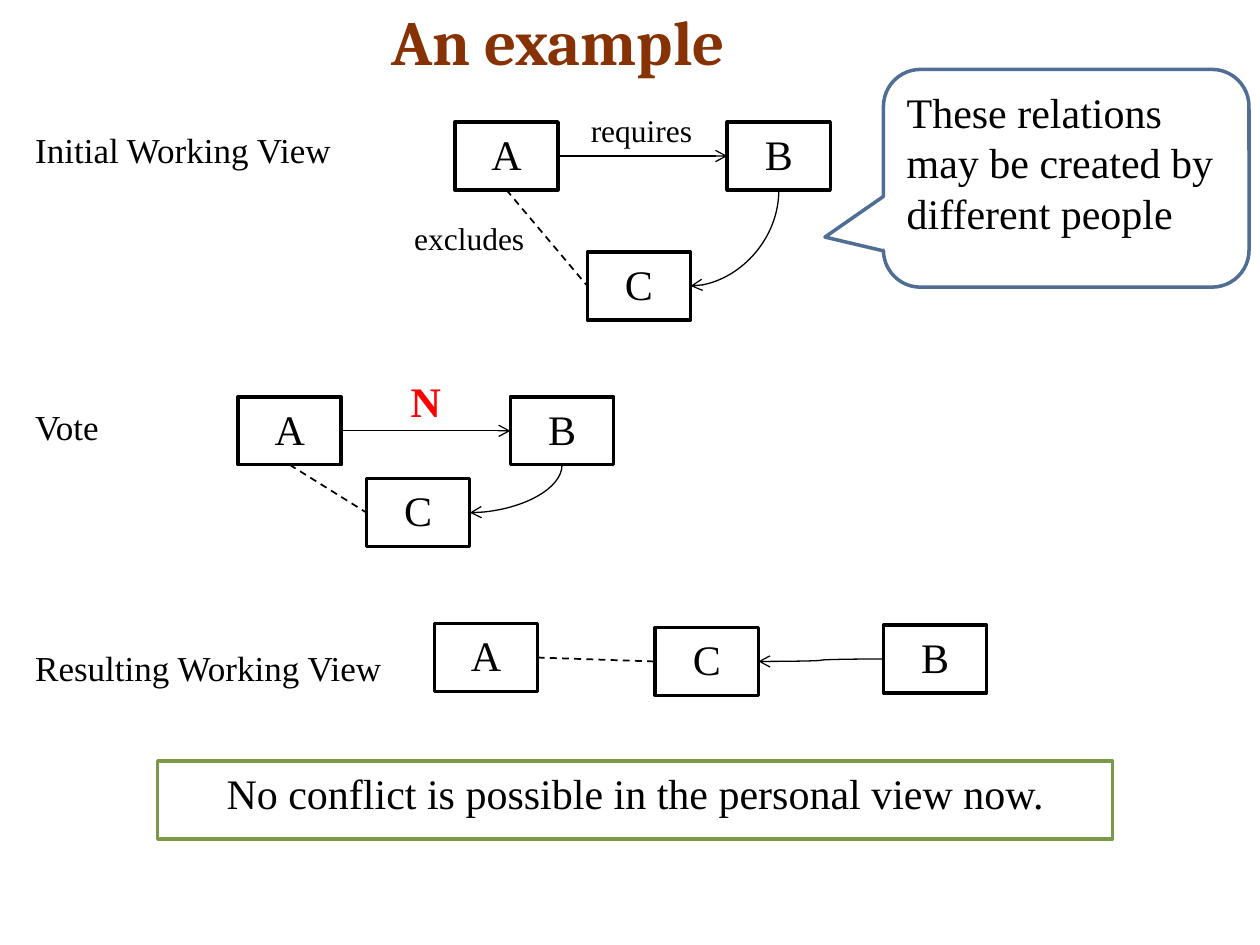
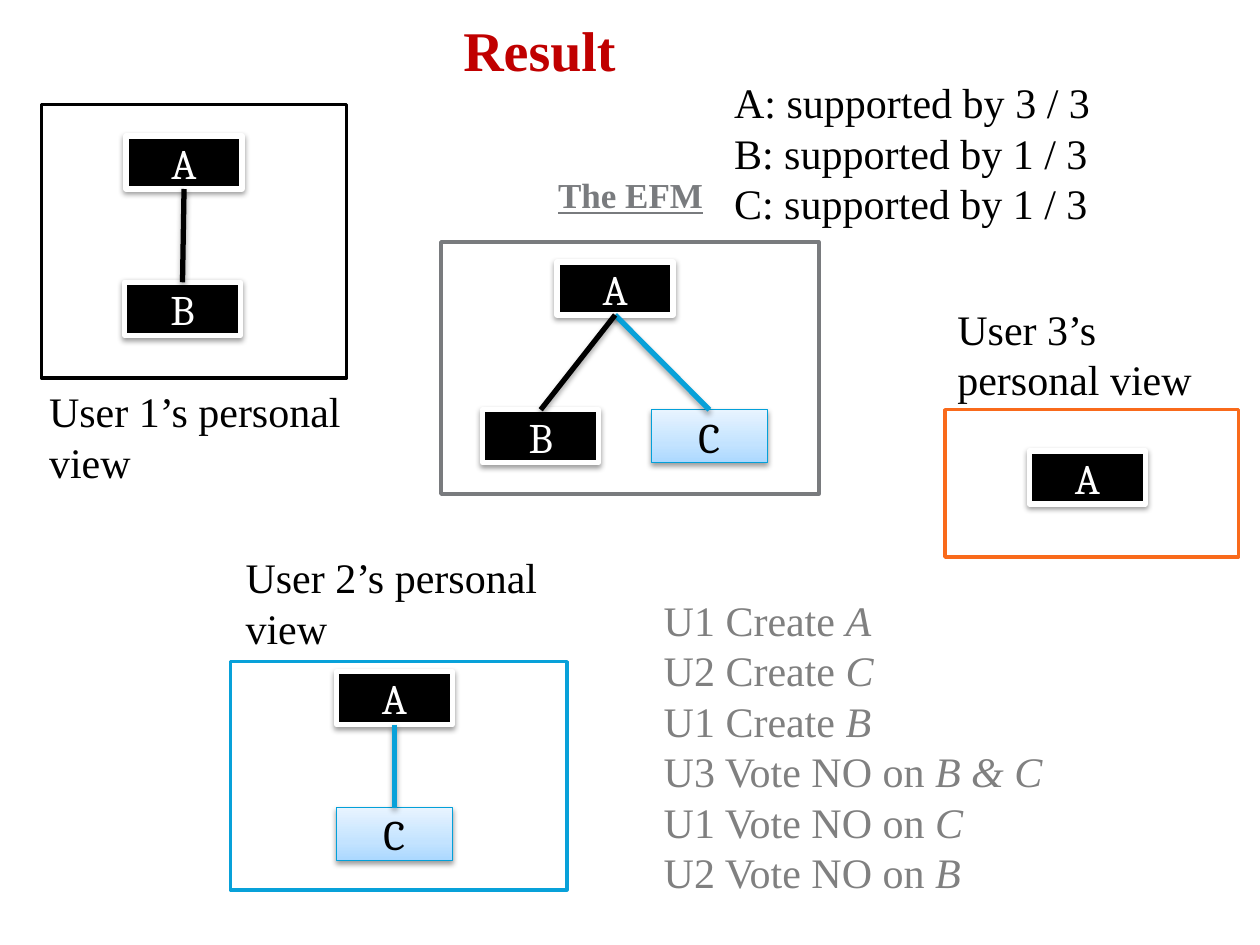
from copy import deepcopy

from lxml.etree import SubElement
from pptx import Presentation
from pptx.dml.color import RGBColor
from pptx.enum.dml import MSO_LINE
from pptx.enum.shapes import MSO_CONNECTOR, MSO_SHAPE
from pptx.enum.text import MSO_ANCHOR, MSO_AUTO_SIZE, PP_ALIGN
from pptx.oxml import parse_xml
from pptx.oxml.ns import nsdecls, qn
from pptx.util import Cm, Pt

# Shared look
BLACK = RGBColor(0x00, 0x00, 0x00)
WHITE = RGBColor(0xFF, 0xFF, 0xFF)
BROWN = RGBColor(0x86, 0x32, 0x04)
RED = RGBColor(0xFF, 0x00, 0x00)
DARK_RED = RGBColor(0xC0, 0x00, 0x00)
STEEL = RGBColor(0x50, 0x6E, 0x94)
GREEN = RGBColor(0x7C, 0x98, 0x4A)
GREY = RGBColor(0x79, 0x7B, 0x7E)
MID_GREY = RGBColor(0x80, 0x80, 0x80)
ORANGE = RGBColor(0xF9, 0x6A, 0x1B)
BLUE = RGBColor(0x08, 0xA1, 0xD9)
EDGE = RGBColor(0x03, 0xA0, 0xD9)
BLEND = [(0, RGBColor(0xAB, 0xD8, 0xFF)), (0.35, RGBColor(0xC3, 0xE3, 0xFF)),
         (1, RGBColor(0xE8, 0xF4, 0xFF))]
SERIF = "Times New Roman"
TITLE = "Cambria"
SHADE = ('<a:outerShdw %s blurRad="40000" dist="%d" dir="5400000" rotWithShape="0">'
         '<a:srgbClr val="000000"><a:alpha val="%d"/></a:srgbClr></a:outerShdw>')
TOP, LEFT, BOTTOM, RIGHT = range(4)


def put(slide, text, box, kind=None, fill=WHITE, line=BLACK, width=2, shade=False,
        size=24, font=SERIF, color=BLACK, bold=None, under=None, wrap=True,
        align=PP_ALIGN.LEFT, anchor=MSO_ANCHOR.TOP):
    """Add a text box, or a shape of the given kind; *stars* mark italics."""
    place = [Cm(n) for n in box]
    if kind is None:
        shape = slide.shapes.add_textbox(*place)
        shape.text_frame.auto_size = MSO_AUTO_SIZE.SHAPE_TO_FIT_TEXT
    else:
        shape = slide.shapes.add_shape(kind, *place)
        shape.shadow.inherit = False
        if fill is BLEND:
            shape.fill.gradient()
            shape.fill.gradient_angle = 90
            stops = shape._element.xpath(".//a:gsLst")[0]
            stops.insert(1, deepcopy(stops[0]))
            for stop, (spot, tint) in zip(shape.fill.gradient_stops, BLEND):
                stop.position = spot
                stop.color.rgb = tint
        else:
            shape.fill.solid()
            shape.fill.fore_color.rgb = fill
        shape.line.color.rgb = line
        shape.line.width = Pt(width)
        if shade:
            glow = shape._element.spPr.find(qn("a:effectLst"))
            glow.append(parse_xml(SHADE % (nsdecls("a"), 20000, 38000)))
    frame = shape.text_frame
    frame.word_wrap = wrap
    frame.vertical_anchor = anchor
    for i, row in enumerate(text.split("\n") if text else []):
        para = frame.add_paragraph() if i else frame.paragraphs[0]
        para.alignment = align
        for j, part in enumerate(row.split("*")):
            if part:
                run = para.add_run()
                run.text = part
                run.font.name = font
                run.font.size = Pt(size)
                run.font.color.rgb = color
                run.font.bold = bold
                run.font.underline = under
                run.font.italic = True if j % 2 else None
    return shape


def link(slide, start, out, end, into, kind=MSO_CONNECTOR.STRAIGHT, color=BLACK,
         width=0.75, dash=False, arrow=False, shade=False):
    """Connect two shapes from side to side."""
    wire = slide.shapes.add_connector(kind, 0, 0, 0, 0)
    wire.begin_connect(start, out)
    wire.end_connect(end, into)
    wire.line.color.rgb = color
    wire.line.width = Pt(width)
    if dash:
        wire.line.dash_style = MSO_LINE.DASH
    props = wire._element.spPr
    if arrow:
        SubElement(props.find(qn("a:ln")), qn("a:tailEnd"), type="arrow")
    glow = SubElement(props, qn("a:effectLst"))
    if shade:
        glow.append(parse_xml(SHADE % (nsdecls("a"), 23000, 35000)))
    return wire


deck = Presentation()
deck.slide_width, deck.slide_height = Cm(25.4), Cm(19.05)
blank = deck.slide_layouts[6]

# Slide 1: title and row labels
slide = deck.slides.add_slide(blank)
put(slide, "An example", (7.65, -0.08, 17.37, 1.78), size=36, font=TITLE,
    color=BROWN, bold=True, anchor=MSO_ANCHOR.BOTTOM)
for text, top, wide in [("Initial Working View", 2.46, 6.5), ("Vote", 8.05, 1.8),
                        ("Resulting Working View", 12.9, 7.54)]:
    put(slide, text, (0.46, top, wide, 1.12), size=20, wrap=False)

# Three views: places of A, B and C, and whether C hangs below the others
views = [
    ((9.17, 2.46), (14.66, 2.46), (11.84, 5.08), True),
    ((4.8, 8), (10.29, 8), (7.39, 9.65), True),
    ((8.76, 12.57), (17.81, 12.6), (13.21, 12.65), False),
]
for *spots, hangs in views:
    a, b, c = [put(slide, name, (*spot, 2.08, 1.37), MSO_SHAPE.RECTANGLE,
                   wrap=False, align=PP_ALIGN.CENTER)
               for name, spot in zip("ABC", spots)]
    link(slide, a, BOTTOM if hangs else RIGHT, c, LEFT, width=1, dash=True)
    curve = link(slide, b, BOTTOM if hangs else LEFT, c, RIGHT,
                 MSO_CONNECTOR.CURVE, arrow=True)
    if hangs:
        link(slide, a, RIGHT, b, LEFT, arrow=True)
        # A quarter bend that leaves B downwards: turn the curve by 90 degrees
        midx = (curve.begin_x + curve.end_x) // 2
        midy = (curve.begin_y + curve.end_y) // 2
        wide, high = curve.height, curve.width
        curve.left, curve.top = midx - wide // 2, midy - high // 2
        curve.width, curve.height = wide, high
        props = curve._element.spPr
        turn = props.find(qn("a:xfrm"))
        turn.attrib.pop("flipH", None)
        turn.set("rot", "5400000")
        props.find(qn("a:prstGeom")).set("prst", "curvedConnector2")

# Relation labels
put(slide, "requires", (11.66, 2.11, 2.59, 1.02), size=18, wrap=False)
put(slide, "excludes", (8.1, 4.29, 2.77, 1.02), size=18, wrap=False)
put(slide, "N", (8.03, 7.44, 1.14, 1.27), color=RED, bold=True, wrap=False)

# Callout and conclusion
note = put(slide, "These relations may be created by different people",
           (17.81, 1.4, 7.37, 4.39), MSO_SHAPE.ROUNDED_RECTANGULAR_CALLOUT, line=STEEL)
for i, value in enumerate((-0.66, 0.27, 0.17)):
    note.adjustments[i] = value
put(slide, "No conflict is possible in the personal view now.",
    (3.18, 15.34, 19.25, 1.57), MSO_SHAPE.RECTANGLE, line=GREEN, wrap=False,
    align=PP_ALIGN.CENTER)

# Slide 2: title and frames
slide = deck.slides.add_slide(blank)
put(slide, "Result", (9.09, 0.18, 4.83, 1.63), size=32, color=DARK_RED, bold=True)
for box, color in [((8.89, 4.88, 7.62, 5.08), GREY), ((0.84, 2.11, 6.15, 5.51), BLACK),
                   ((19.05, 8.26, 5.92, 2.97), ORANGE), ((4.65, 13.34, 6.78, 4.6), BLUE)]:
    put(slide, "", box, MSO_SHAPE.RECTANGLE, line=color)

# Captions
for user, box in enumerate([(0.74, 7.65, 6.78, 2.31), (4.7, 11, 6.99, 2.34),
                            (19.05, 5.99, 6.35, 2.31)], 1):
    put(slide, f"User {user}’s personal view", box)
put(slide, "The EFM", (11, 3.38, 3.45, 1.12), size=20, color=GREY, bold=True,
    under=True, wrap=False)
put(slide, "A: supported by 3 / 3\nB: supported by 1 / 3\nC: supported by 1 / 3",
    (14.55, 1.42, 8.99, 3.33))
put(slide, "U1 Create *A*\nU2 Create *C*\nU1 Create *B*\nU3 Vote NO on *B & C*\n"
    "U1 Vote NO on *C*\nU2 Vote NO on *B*", (13.13, 11.86, 9.96, 6.4), color=MID_GREY)

# Trees: each starts with its root, followed by its children
trees = [
    [("A", 2.54, 2.74), ("B", 2.51, 5.69)],
    [("A", 11.23, 5.28), ("C", 13.13, 8.26), ("B", 9.73, 8.26)],
    [("A", 6.78, 13.54), ("C", 6.78, 16.28)],
    [("A", 20.75, 9.09)],
]
for tree in trees:
    root = None
    for name, x, y in tree:
        pale = name == "C"
        node = put(slide, name, (x, y, 2.34, 1.07), MSO_SHAPE.RECTANGLE,
                   fill=BLEND if pale else BLACK, line=EDGE if pale else WHITE,
                   width=0.75 if pale else 3, shade=True, font=TITLE,
                   color=BLACK if pale else WHITE, align=PP_ALIGN.CENTER,
                   anchor=MSO_ANCHOR.MIDDLE)
        if root:
            link(slide, root, BOTTOM, node, TOP, color=BLUE if pale else BLACK,
                 width=3, shade=True)
        else:
            root = node

deck.save("out.pptx")
